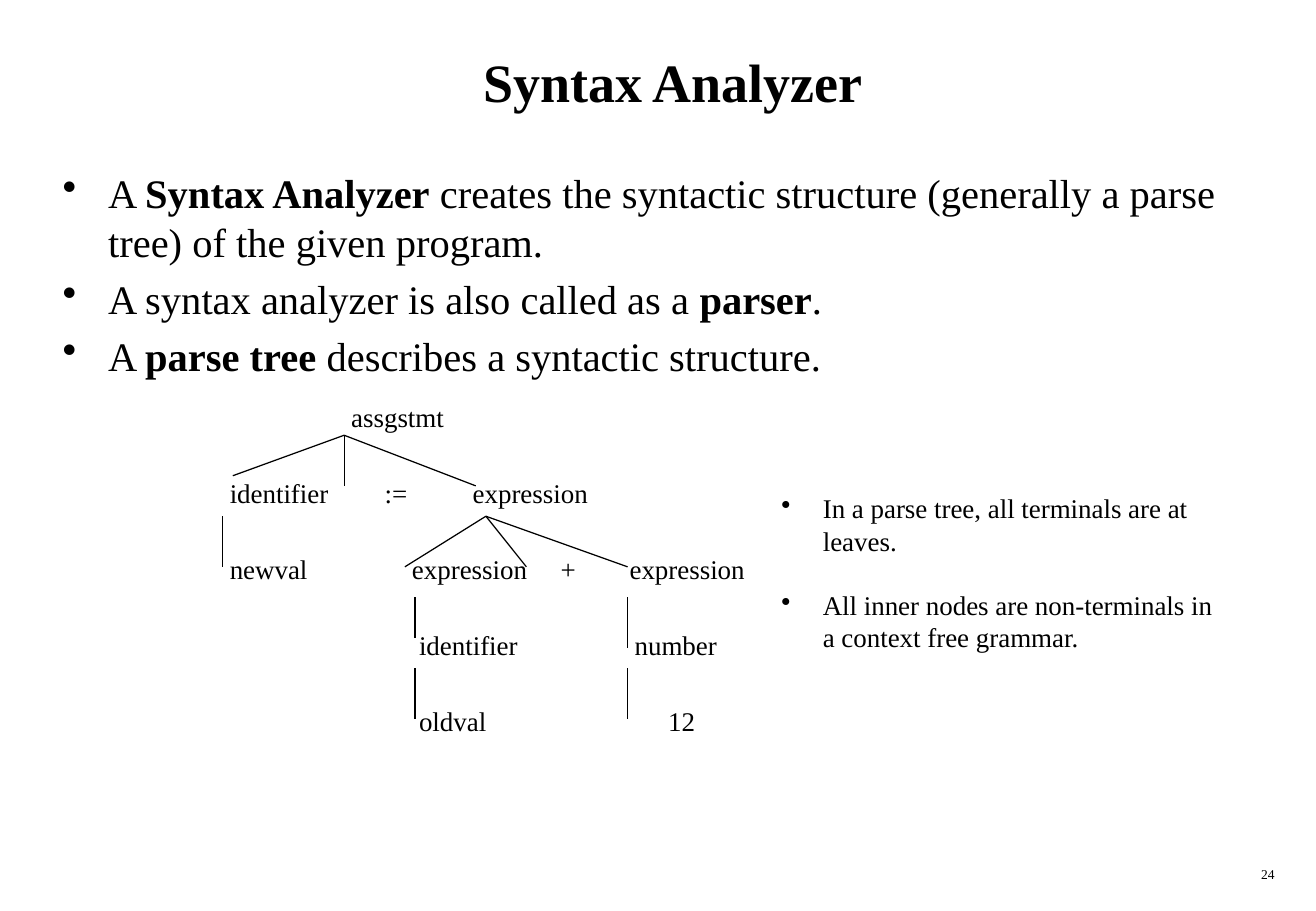
from pptx import Presentation
from pptx.dml.color import RGBColor
from pptx.enum.shapes import MSO_CONNECTOR
from pptx.enum.text import MSO_ANCHOR, PP_ALIGN
from pptx.oxml.ns import qn
from pptx.util import Pt

PX = 7620  # 120 px to the inch
BLACK = "000000"


def color(hex_string):
    return RGBColor.from_string(hex_string)


def add_text(box, paragraphs, size, align=PP_ALIGN.LEFT, anchor=MSO_ANCHOR.TOP,
             inset=(12, 6), hanging=0, gap=0):
    """Each paragraph is a list of (text, bold) runs; hanging adds a bullet."""
    shape = slide.shapes.add_textbox(*[value * PX for value in box])
    frame = shape.text_frame
    frame.word_wrap = True
    frame.vertical_anchor = anchor
    frame.margin_left = frame.margin_right = inset[0] * PX
    frame.margin_top = frame.margin_bottom = inset[1] * PX
    for index, runs in enumerate(paragraphs):
        paragraph = frame.add_paragraph() if index else frame.paragraphs[0]
        paragraph.alignment = align
        paragraph.space_after = Pt(gap)
        for text, bold in runs:
            run = paragraph.add_run()
            run.text = text
            run.font.name = "Times New Roman"
            run.font.size = Pt(size)
            run.font.bold = bold
            run.font.color.rgb = color(BLACK)
        if hanging:
            properties = paragraph._p.get_or_add_pPr()
            properties.set("marL", str(hanging * PX))
            properties.set("indent", str(-hanging * PX))
            bullet = properties.makeelement(qn("a:buChar"), {"char": "•"})
            properties.append(bullet)


presentation = Presentation()
presentation.slide_width = 1300 * PX
presentation.slide_height = 900 * PX
slide = presentation.slides.add_slide(presentation.slide_layouts[6])

# Title and page number
add_text((50, 20, 1230, 120), [[("Syntax Analyzer", True)]], 32,
         align=PP_ALIGN.CENTER, anchor=MSO_ANCHOR.MIDDLE)
add_text((1000, 850, 271, 30), [[("24", False)]], 8, align=PP_ALIGN.RIGHT)

# Main bullets
add_text((50, 160, 1230, 225), [
    [("A ", False), ("Syntax Analyzer", True),
     (" creates the syntactic structure (generally a parse tree) of the given program.", False)],
    [("A syntax analyzer is also called as a ", False), ("parser", True), (".", False)],
    [("A ", False), ("parse tree", True), (" describes a syntactic structure.", False)],
], 24, hanging=45, gap=5)

# Parse tree labels: one row per level, each with (left, text)
tree_rows = [
    [(347, "assgstmt")],
    [(227, "identifier"), (380, ":="), (467, "expression")],
    [(227, "newval"), (407, "expression"), (554, "+"), (622, "expression")],
    [(414, "identifier"), (627, "number")],
    [(414, "oldval"), (660, "12")],
]
for level, row in enumerate(tree_rows):
    for left, label in row:
        add_text((left, 396 + 75 * level, 130, 30), [[(label, False)]], 16, inset=(0, 0))

# Parse tree branches: start point and the ends reached from it
branches = [
    ((340, 430), [(230, 470), (340, 480), (470, 480)]),
    ((220, 510), [(220, 560)]),
    ((480, 510), [(400, 560), (520, 560), (620, 560)]),
    ((410, 590), [(410, 630)]),
    ((410, 660), [(410, 710)]),
    ((620, 590), [(620, 640)]),
    ((620, 660), [(620, 710)]),
]
for (start_x, start_y), ends in branches:
    for end_x, end_y in ends:
        branch = slide.shapes.add_connector(
            MSO_CONNECTOR.STRAIGHT, start_x * PX, start_y * PX, end_x * PX, end_y * PX)
        branch.line.color.rgb = color(BLACK)
        branch.line.width = Pt(0.75)
        properties = branch._element.spPr
        properties.append(properties.makeelement(qn("a:effectLst"), {}))

# Side notes
add_text((760, 480, 455, 160), [
    [("In a parse tree, all terminals are at leaves.", False)],
    [("All inner nodes are non-terminals in a context free grammar.", False)],
], 16, hanging=41, gap=19)

presentation.save("out.pptx")
